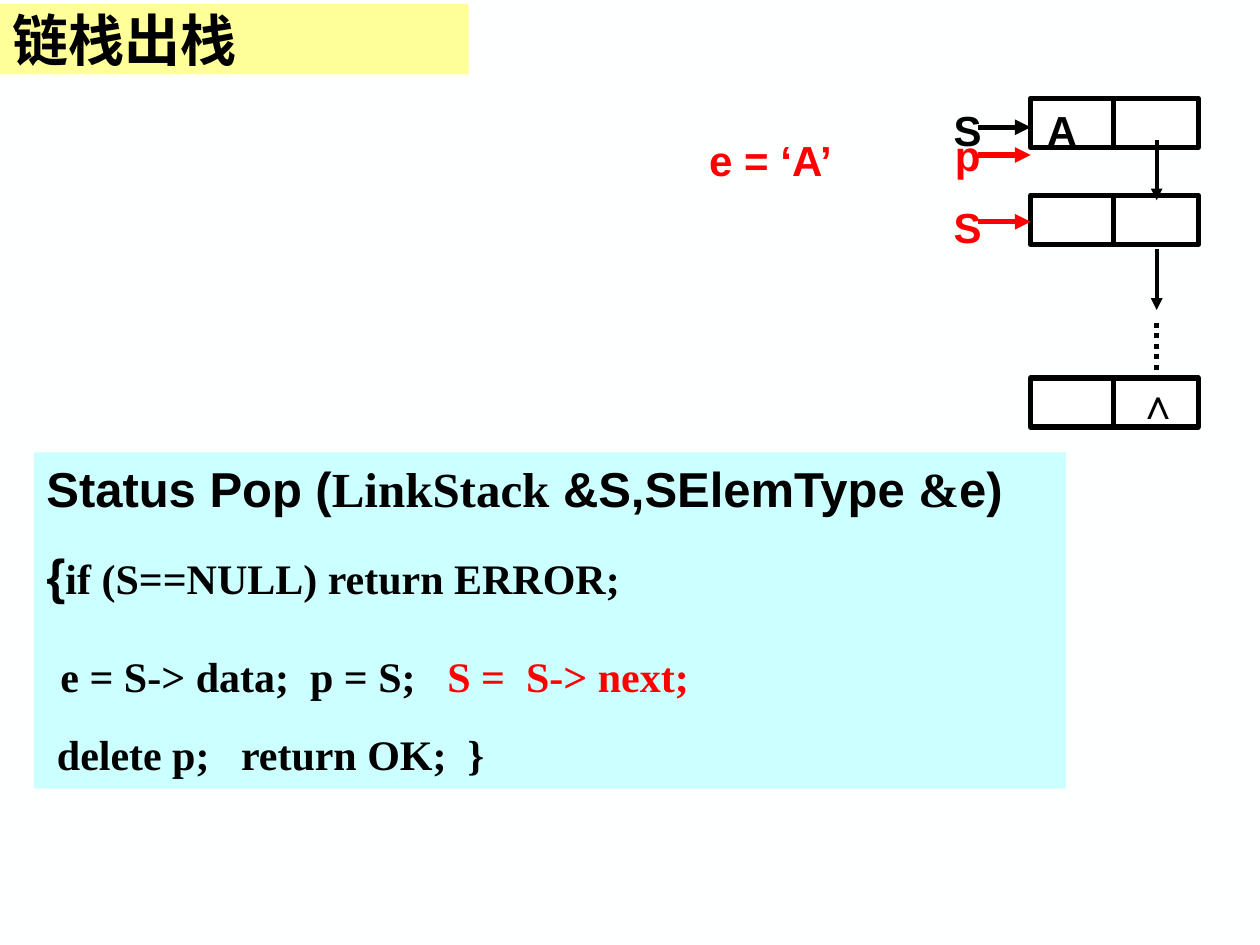
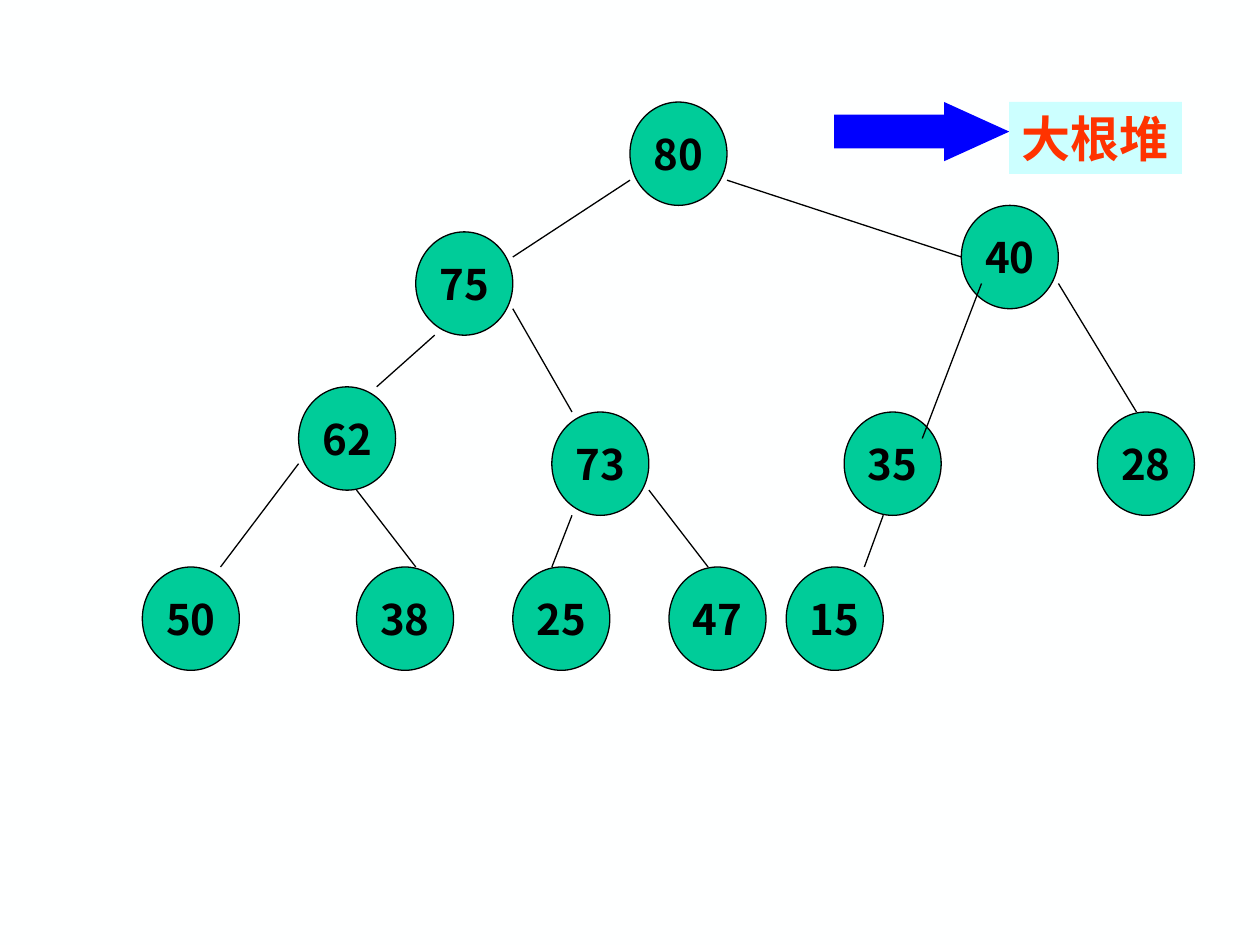
from lxml.etree import SubElement
from pptx import Presentation
from pptx.dml.color import RGBColor
from pptx.enum.dml import MSO_LINE
from pptx.enum.shapes import MSO_CONNECTOR, MSO_SHAPE
from pptx.enum.text import MSO_ANCHOR, MSO_AUTO_SIZE, PP_ALIGN
from pptx.oxml.ns import qn
from pptx.util import Inches, Pt

BACKGROUND = RGBColor(0xFE, 0xFF, 0xFF)
WHITE = RGBColor(0xFF, 0xFF, 0xFF)
BLACK = RGBColor(0x00, 0x00, 0x00)
RED = RGBColor(0xFF, 0x00, 0x00)
YELLOW = RGBColor(0xFF, 0xFF, 0x99)
PALE_CYAN = RGBColor(0xCC, 0xFF, 0xFF)
GREEN = RGBColor(0x00, 0xCC, 0x99)
BLUE = RGBColor(0x00, 0x00, 0xFF)
ORANGE = RGBColor(0xFF, 0x33, 0x00)

SANS = "Arial"
SERIF = "Times New Roman"
CHINESE = "Noto Sans CJK SC"


def write_text(shape, text, size, font, color, alignment=PP_ALIGN.CENTER):
    """Write one bold paragraph, with Chinese characters in the Chinese font."""
    paragraph = shape.text_frame.paragraphs[0]
    paragraph.text = text
    paragraph.alignment = alignment
    paragraph.font.size = Pt(size)
    paragraph.font.bold = True
    paragraph.font.color.rgb = color
    paragraph.font.name = font
    properties = paragraph._p.pPr.find(qn("a:defRPr"))
    SubElement(properties, qn("a:ea")).set("typeface", CHINESE)


def add_line(slide, start, end, width, color=BLACK, arrow=False):
    line = slide.shapes.add_connector(
        MSO_CONNECTOR.STRAIGHT, *(Inches(value) for value in (*start, *end)))
    line.line.color.rgb = color
    line.line.width = Pt(width)
    if arrow:
        SubElement(line.line._get_or_add_ln(), qn("a:tailEnd")).set("type", "triangle")
    SubElement(line._element.spPr, qn("a:effectLst"))
    return line


presentation = Presentation()
presentation.slide_width = Inches(10)
presentation.slide_height = Inches(7.5)
master_fill = presentation.slide_master.background.fill
master_fill.solid()
master_fill.fore_color.rgb = BACKGROUND
title_only, blank = presentation.slide_layouts[5], presentation.slide_layouts[6]

# Slide 1: popping a linked stack
slide = presentation.slides.add_slide(title_only)
title = slide.shapes.title
title.left, title.top = Inches(0), Inches(0.03)
title.width, title.height = Inches(3.72), Inches(0.56)
title.fill.solid()
title.fill.fore_color.rgb = YELLOW
title.text_frame.auto_size = MSO_AUTO_SIZE.NONE
title.text_frame.vertical_anchor = MSO_ANCHOR.MIDDLE
write_text(title, "链栈出栈", 32, CHINESE, BLACK, PP_ALIGN.LEFT)

NODE_LEFT, NODE_WIDTH, NODE_HEIGHT = 8.18, 1.33, 0.39
DIVIDER, LINK = 8.84, 9.18
for top in (0.78, 1.55, 3):
    node = slide.shapes.add_shape(
        MSO_SHAPE.RECTANGLE, Inches(NODE_LEFT), Inches(top),
        Inches(NODE_WIDTH), Inches(NODE_HEIGHT))
    node.shadow.inherit = False
    node.fill.solid()
    node.fill.fore_color.rgb = WHITE
    node.line.color.rgb = BLACK
    node.line.width = Pt(3)
    add_line(slide, (DIVIDER, top), (DIVIDER, top + NODE_HEIGHT), 3)

for top in (1.11, 1.98):
    add_line(slide, (LINK, top), (LINK, top + 0.48), 2.25, arrow=True)
dots = add_line(slide, (LINK, 2.56), (LINK, 2.95), 3)
dots.line.dash_style = MSO_LINE.ROUND_DOT

for y, color in ((1.01, BLACK), (1.23, RED), (1.76, RED)):
    add_line(slide, (7.76, y), (NODE_LEFT, y), 3, color, arrow=True)

for text, left, top, width, color in (
    ("∧", 8.93, 2.95, 0.5, BLACK),
    ("S", 7.43, 0.78, 0.5, BLACK),
    ("A", 8.18, 0.78, 0.5, BLACK),
    ("e = ‘A’", 5.24, 1.02, 1.75, RED),
    ("p", 7.43, 0.98, 0.5, RED),
    ("S", 7.43, 1.55, 0.5, RED),
):
    label = slide.shapes.add_textbox(
        Inches(left), Inches(top), Inches(width), Inches(0.5))
    label.text_frame.word_wrap = True
    write_text(label, text, 24, SANS, color)

code_box = slide.shapes.add_textbox(
    Inches(0.27), Inches(3.59), Inches(8.19), Inches(2.67))
code_box.fill.solid()
code_box.fill.fore_color.rgb = PALE_CYAN
code_frame = code_box.text_frame
code_frame.word_wrap = True
code_lines = (
    (0, [("Status Pop (", 28, SANS, BLACK), ("LinkStack", 28, SERIF, BLACK),
         (" &S,SElemType ", 28, SANS, BLACK), ("&", 28, SERIF, BLACK),
         ("e)", 28, SANS, BLACK)]),
    (16, [("{", 28, SANS, BLACK), ("if (S==NULL) return ERROR;", 24, SERIF, BLACK)]),
    (18.5, [(" ", 32, SERIF, BLACK), ("e = S-> data;  p = S;   ", 24, SERIF, BLACK),
            ("S =  S-> next;", 24, SERIF, RED)]),
    (14, [(" delete p;   return OK;  }", 24, SERIF, BLACK)]),
)
for index, (space_before, runs) in enumerate(code_lines):
    paragraph = code_frame.add_paragraph() if index else code_frame.paragraphs[0]
    paragraph.space_before = Pt(space_before)
    paragraph.font.bold = True
    for text, size, font, color in runs:
        run = paragraph.add_run()
        run.text = text
        run.font.size = Pt(size)
        run.font.name = font
        run.font.color.rgb = color

# Slide 2: max heap
slide = presentation.slides.add_slide(blank)
for value, left, top in (
    (80, 5, 0.81),
    (75, 3.3, 1.84), (40, 7.63, 1.63),
    (62, 2.37, 3.07), (73, 4.38, 3.27), (28, 8.71, 3.27), (35, 6.7, 3.27),
    (50, 1.13, 4.5), (38, 2.83, 4.5), (25, 4.07, 4.5), (47, 5.31, 4.5), (15, 6.24, 4.5),
):
    node = slide.shapes.add_shape(
        MSO_SHAPE.OVAL, Inches(left), Inches(top), Inches(0.77), Inches(0.82))
    node.shadow.inherit = False
    node.fill.solid()
    node.fill.fore_color.rgb = GREEN
    node.line.color.rgb = BLACK
    node.line.width = Pt(0.75)
    node.text_frame.word_wrap = False
    node.text_frame.vertical_anchor = MSO_ANCHOR.MIDDLE
    write_text(node, str(value), 24, CHINESE, BLACK)

for parent_end, child_end in (
    ((5, 1.43), (4.07, 2.04)), ((5.77, 1.43), (7.63, 2.04)),
    ((3.45, 2.66), (2.99, 3.07)), ((4.07, 2.45), (4.54, 3.27)),
    ((7.79, 2.25), (7.32, 3.48)), ((8.4, 2.25), (9.02, 3.27)),
    ((2.37, 3.68), (1.75, 4.5)), ((2.83, 3.89), (3.3, 4.5)),
    ((4.54, 4.09), (4.38, 4.5)), ((5.15, 3.89), (5.62, 4.5)),
    ((7.01, 4.09), (6.86, 4.5)),
):
    add_line(slide, parent_end, child_end, 0.75)

arrow = slide.shapes.add_shape(
    MSO_SHAPE.RIGHT_ARROW, Inches(6.62), Inches(0.81), Inches(1.39), Inches(0.47))
arrow.shadow.inherit = False
arrow.adjustments[0], arrow.adjustments[1] = 0.57, 1.1
arrow.fill.solid()
arrow.fill.fore_color.rgb = BLUE
arrow.line.fill.background()

heap_label = slide.shapes.add_textbox(
    Inches(8.01), Inches(0.81), Inches(1.37), Inches(0.57))
heap_label.fill.solid()
heap_label.fill.fore_color.rgb = PALE_CYAN
heap_label.text_frame.word_wrap = False
write_text(heap_label, "大根堆", 28, SERIF, ORANGE, PP_ALIGN.LEFT)

presentation.save("out.pptx")
